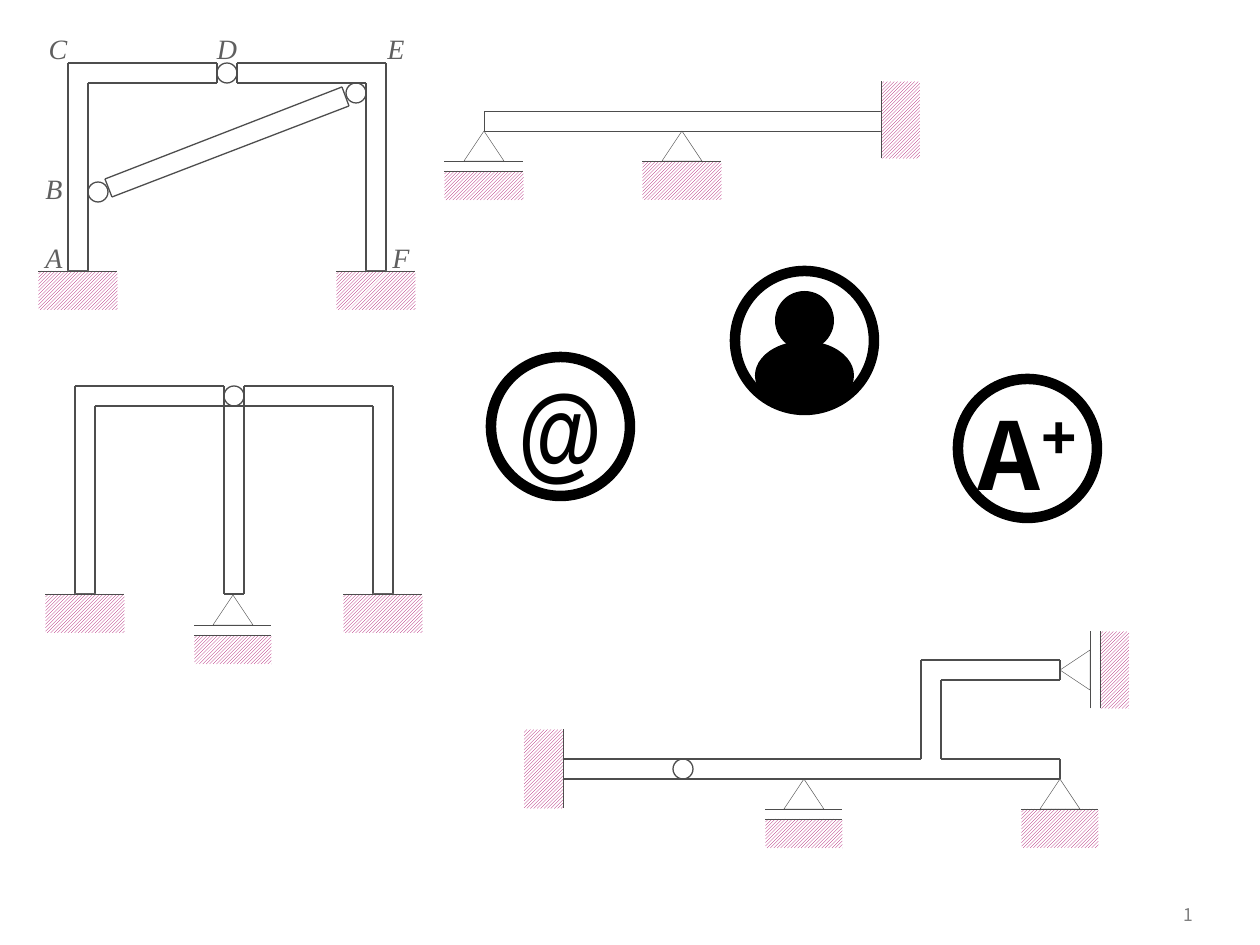
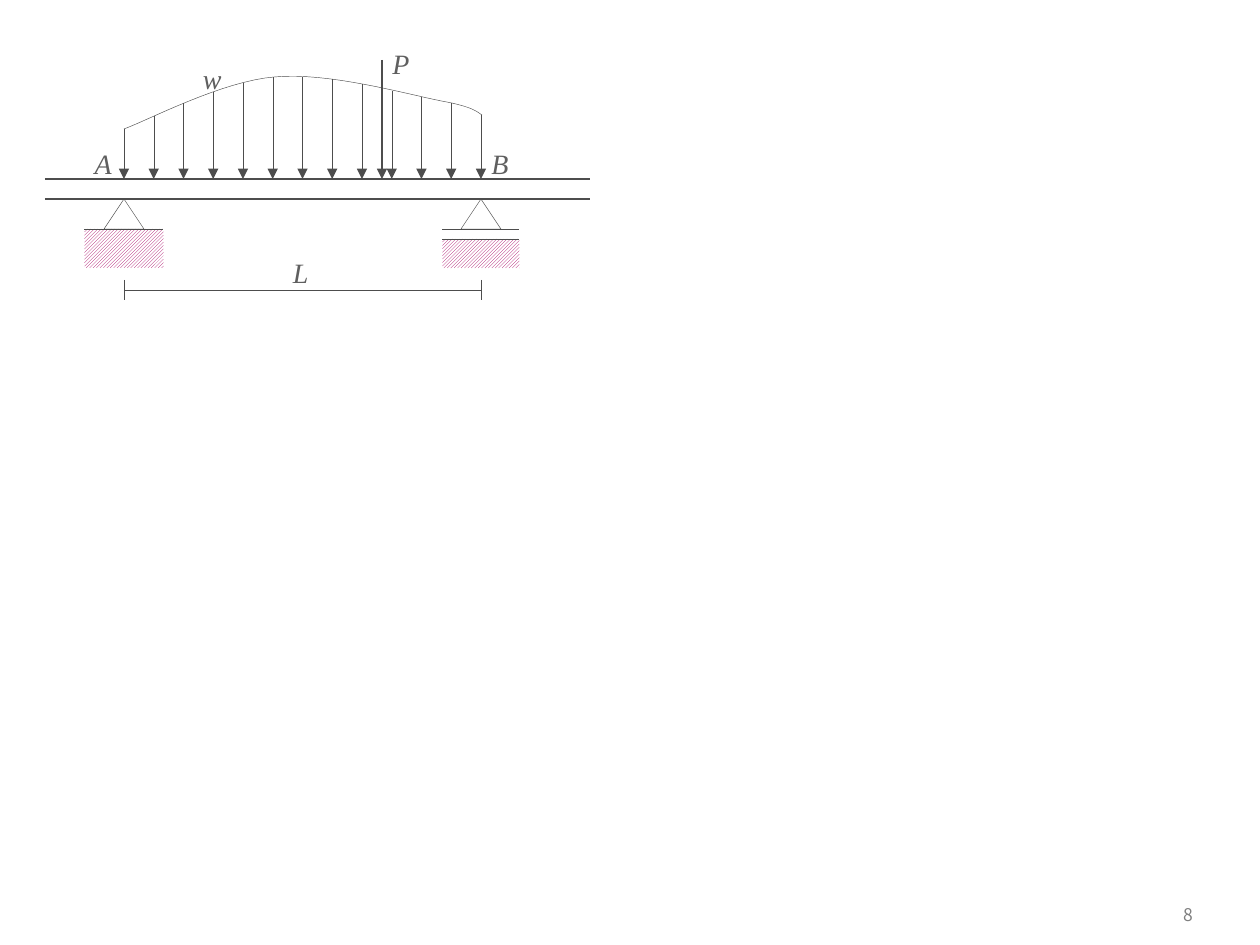
from lxml import etree
from pptx import Presentation
from pptx.dml.color import RGBColor
from pptx.enum.dml import MSO_PATTERN
from pptx.enum.shapes import MSO_CONNECTOR, MSO_SHAPE
from pptx.enum.text import MSO_ANCHOR, PP_ALIGN
from pptx.oxml.ns import qn
from pptx.util import Emu, Pt

SCALE = 914400 / 126  # EMU per px
RECTANGLE, ELLIPSE, TRIANGLE = MSO_SHAPE.RECTANGLE, MSO_SHAPE.OVAL, MSO_SHAPE.ISOSCELES_TRIANGLE
STRAIGHT, HATCH = MSO_CONNECTOR.STRAIGHT, MSO_PATTERN.LIGHT_UPWARD_DIAGONAL
MIDDLE, CENTER, RIGHT = MSO_ANCHOR.MIDDLE, PP_ALIGN.CENTER, PP_ALIGN.RIGHT

INK = RGBColor(0x4D, 0x4D, 0x4D)
GROUND = RGBColor(0xA9, 0x01, 0x65)
LABEL = RGBColor(0x5F, 0x5F, 0x5F)
FOOTER = RGBColor(0x80, 0x80, 0x80)
BLACK = RGBColor(0, 0, 0)
WHITE = RGBColor(255, 255, 255)
THIN, MEDIUM, HEAVY = 0.25, 0.75, 1.5

# Bars are 20 px deep; lines are x1, y1, x2, y2
BAR = 20
FRAME_LINES = [
    (20, 20, 149, 20), (0, 0, 149, 0), (298, 20, 298, 208), (318, 0, 318, 208),
    (0, 0, 0, 208), (20, 20, 20, 208), (0, 208, 20, 208), (298, 208, 318, 208),
    (169, 0, 318, 0), (169, 20, 298, 20), (149, 20, 149, 0), (169, 20, 169, 0),
]
FRAME_FEET, FRAME_HEIGHT, FRAME_HINGE = (10, 308), 208, 149
BRACED_FRAME, COLUMN_FRAME = (68, 63), (75, 386)
COLUMN_LINES = [(224, 594, 244, 594), (224, 406, 244, 406),
                (244, 594, 244, 406), (224, 594, 224, 406)]
BRACE_LINES = [(105, 179, 112, 197), (342, 87, 349, 106),
               (112, 197, 349, 106), (105, 179, 342, 87)]
BRACE_HINGES = [(346, 83), (88, 182)]
FRAME_LABELS = [("A", 39, 242, 30), ("B", 39, 173, 30), ("F", 386, 242, 30),
                ("C", 48, 33, 20), ("D", 217, 33, 20), ("E", 386, 33, 20)]

BEAM = (484, 111, 397, BAR)
BRANCHED_LINES = [
    (564, 759, 921, 759), (564, 779, 1060, 779), (921, 759, 921, 660),
    (921, 660, 1060, 660), (941, 680, 1060, 680), (941, 759, 941, 680),
    (941, 759, 1060, 759), (1060, 779, 1060, 759), (1060, 680, 1060, 660),
]
BRANCHED_HINGE = (673, 759)

# Supports: kind, contact point, width, turn in degrees
SUPPORTS = [
    ("roller", 484, 131, 79, 0), ("pin", 682, 131, 79, 0), ("fixed", 881, 120, 77, 270),
    ("roller", 233, 595, 77, 0), ("fixed", 563, 769, 79, 90),
    ("roller", 804, 779, 77, 0), ("pin", 1060, 779, 77, 0), ("roller", 1060, 670, 77, 270),
]
LOADED_SUPPORTS = [("pin", 124, 199, 79, 0), ("roller", 481, 199, 77, 0)]

# Icons: ring corner, font, runs with superscript flag
RING = 139
ICONS = [
    (735, 271, None, []),
    (491, 357, "Arial Narrow", [("@", False)]),
    (958, 379, "Courier New", [("A", False), ("+", True)]),
]
PERSON = [(775, 291, 59, 59), (755, 341, 99, 69)]

# Loaded beam
SPAN_LEFT, SPAN_RIGHT, BEAM_TOP = 124, 481, 179
LOAD_TOPS = [129, 116, 103, 92, 83, 77, 77, 79, 84, 91, 97, 103, 115]
LOAD_CURVE = [
    ((124, 129), (149, 120), (222, 81), (275, 77)),
    ((275, 77), (328, 72), (406, 94), (441, 101)),
    ((441, 101), (475, 107), (478, 113), (482, 115)),
]
CURVE_STEPS = 16
POINT_LOAD = (382, 60, 382, BEAM_TOP)
BEAM_LINES = [(45, BEAM_TOP, 590, BEAM_TOP), (45, BEAM_TOP + BAR, 590, BEAM_TOP + BAR)]
SPAN_LINES = [(SPAN_LEFT, 290, SPAN_RIGHT, 290)] + [
    (x, 280, x, 300) for x in (SPAN_LEFT, SPAN_RIGHT)]
LOAD_LABELS = [("A", 94, 146, 18), ("B", 491, 146, 18), ("w", 203, 61, 18),
               ("P", 392, 46, 18), ("L", 293, 255, 15)]


def px(value):
    return Emu(round(value * SCALE))


def add_shape(slide, kind, left, top, width, height, line=None, color=INK, turn=0):
    shape = slide.shapes.add_shape(kind, px(left), px(top), px(width), px(height))
    shape.shadow.inherit = False
    shape.rotation = turn
    shape.fill.background()
    if line:
        shape.line.color.rgb = color
        shape.line.width = Pt(line)
    else:
        shape.line.fill.background()
    return shape


def add_lines(slide, lines, width, arrow=False, origin=(0, 0)):
    dx, dy = origin
    for x1, y1, x2, y2 in lines:
        connector = slide.shapes.add_connector(
            STRAIGHT, px(x1 + dx), px(y1 + dy), px(x2 + dx), px(y2 + dy))
        connector.line.color.rgb = INK
        connector.line.width = Pt(width)
        properties = connector._element.spPr
        etree.SubElement(properties, qn("a:effectLst"))
        if arrow:
            line = properties.find(qn("a:ln"))
            etree.SubElement(line, qn("a:tailEnd")).set("type", "triangle")


def add_hinge(slide, left, top):
    add_shape(slide, ELLIPSE, left, top, BAR, BAR, MEDIUM)


def add_run(paragraph, text, font, size, color):
    run = paragraph.add_run()
    run.text = text
    run.font.name, run.font.size, run.font.color.rgb = font, Pt(size), color
    return run


def add_text(slide, text, left, top, width, height, font, size, color, align):
    box = slide.shapes.add_textbox(px(left), px(top), px(width), px(height))
    frame = box.text_frame
    frame.vertical_anchor = MIDDLE
    paragraph = frame.paragraphs[0]
    paragraph.alignment = align
    return frame, add_run(paragraph, text, font, size, color)


def add_labels(slide, labels, height):
    for text, left, top, width in labels:
        frame, run = add_text(slide, text, left, top, width, height,
                              "Times New Roman", 16, LABEL, CENTER)
        frame.margin_left = frame.margin_right = frame.margin_top = frame.margin_bottom = 0
        frame.word_wrap = False
        run.font.italic = True


def add_support(slide, kind, x, y, width, turn):
    """Place a support below its contact point, then turn it about that point."""
    def place(across, away):
        return {0: (x + across, y + away), 90: (x - away, y + across),
                270: (x + away, y - across)}[turn]

    def add_part(shape_kind, start, part_width, depth, line=None):
        center_x, center_y = place(0, start + depth / 2)
        return add_shape(slide, shape_kind, center_x - part_width / 2, center_y - depth / 2,
                         part_width, depth, line, turn=turn)

    surfaces = {"fixed": [0], "pin": [30], "roller": [30, 40]}[kind]
    block = add_part(RECTANGLE, surfaces[-1], width, 29 if kind == "roller" else 39)
    block.fill.patterned()
    block.fill.pattern = HATCH
    block.fill.fore_color.rgb = GROUND
    block.fill.back_color.rgb = WHITE
    add_lines(slide, [place(-width / 2, away) + place(width / 2, away) for away in surfaces], THIN)
    if kind != "fixed":
        add_part(TRIANGLE, 0, 40, 30, THIN)


def add_frame(slide, origin):
    left, top = origin
    add_lines(slide, FRAME_LINES, MEDIUM, origin=origin)
    add_hinge(slide, left + FRAME_HINGE, top)
    for foot in FRAME_FEET:
        add_support(slide, "fixed", left + foot, top + FRAME_HEIGHT, 79, 0)


def add_icons(slide):
    for left, top, font, runs in ICONS:
        ring = add_shape(slide, ELLIPSE, left, top, RING, RING, 6, BLACK)
        if not runs:
            continue
        frame = ring.text_frame
        frame.word_wrap = False
        frame.vertical_anchor = MIDDLE
        paragraph = frame.paragraphs[0]
        paragraph.alignment = CENTER
        for text, raised in runs:
            run = add_run(paragraph, text, font, 60, BLACK)
            run.font.bold = True
            if raised:
                run._r.get_or_add_rPr().set("baseline", "30000")
    for box in PERSON:
        part = add_shape(slide, ELLIPSE, *box)
        part.fill.solid()
        part.fill.fore_color.rgb = BLACK


def curve_point(controls, t):
    weights = ((1 - t) ** 3, 3 * t * (1 - t) ** 2, 3 * t * t * (1 - t), t ** 3)
    return tuple(px(sum(w * point[axis] for w, point in zip(weights, controls)))
                 for axis in (0, 1))


def add_load_curve(slide):
    points = [curve_point(controls, step / CURVE_STEPS)
              for controls in LOAD_CURVE for step in range(1, CURVE_STEPS + 1)]
    builder = slide.shapes.build_freeform(*curve_point(LOAD_CURVE[0], 0))
    builder.add_line_segments(points, close=False)
    curve = builder.convert_to_shape()
    curve.shadow.inherit = False
    curve.fill.background()
    curve.line.color.rgb = INK
    curve.line.width = Pt(THIN)


def add_slide(presentation, number):
    slide = presentation.slides.add_slide(presentation.slide_layouts[6])
    add_text(slide, number, 1116, 893, 90, 42, "Noto Sans CJK KR", 10, FOOTER, RIGHT)
    return slide


def build_structures(presentation):
    slide = add_slide(presentation, "1")
    add_shape(slide, RECTANGLE, *BEAM, THIN)
    for support in SUPPORTS:
        add_support(slide, *support)
    for origin in (COLUMN_FRAME, BRACED_FRAME):
        add_frame(slide, origin)
    add_lines(slide, COLUMN_LINES + BRACE_LINES + BRANCHED_LINES, MEDIUM)
    for hinge in BRACE_HINGES + [BRANCHED_HINGE]:
        add_hinge(slide, *hinge)
    add_labels(slide, FRAME_LABELS, 30)
    add_icons(slide)


def build_loaded_beam(presentation):
    slide = add_slide(presentation, "8")
    for support in LOADED_SUPPORTS:
        add_support(slide, *support)
    add_load_curve(slide)
    gap = (SPAN_RIGHT - SPAN_LEFT) / (len(LOAD_TOPS) - 1)
    loads = [(SPAN_LEFT + i * gap, top, SPAN_LEFT + i * gap, BEAM_TOP)
             for i, top in enumerate(LOAD_TOPS)]
    add_lines(slide, loads, THIN, arrow=True)
    add_lines(slide, [POINT_LOAD], HEAVY, arrow=True)
    add_lines(slide, BEAM_LINES, MEDIUM)
    add_lines(slide, SPAN_LINES, THIN)
    add_labels(slide, LOAD_LABELS, 34)


def main():
    presentation = Presentation()
    presentation.slide_width, presentation.slide_height = px(1260), px(945)
    build_structures(presentation)
    build_loaded_beam(presentation)
    presentation.save("out.pptx")


if __name__ == "__main__":
    main()
